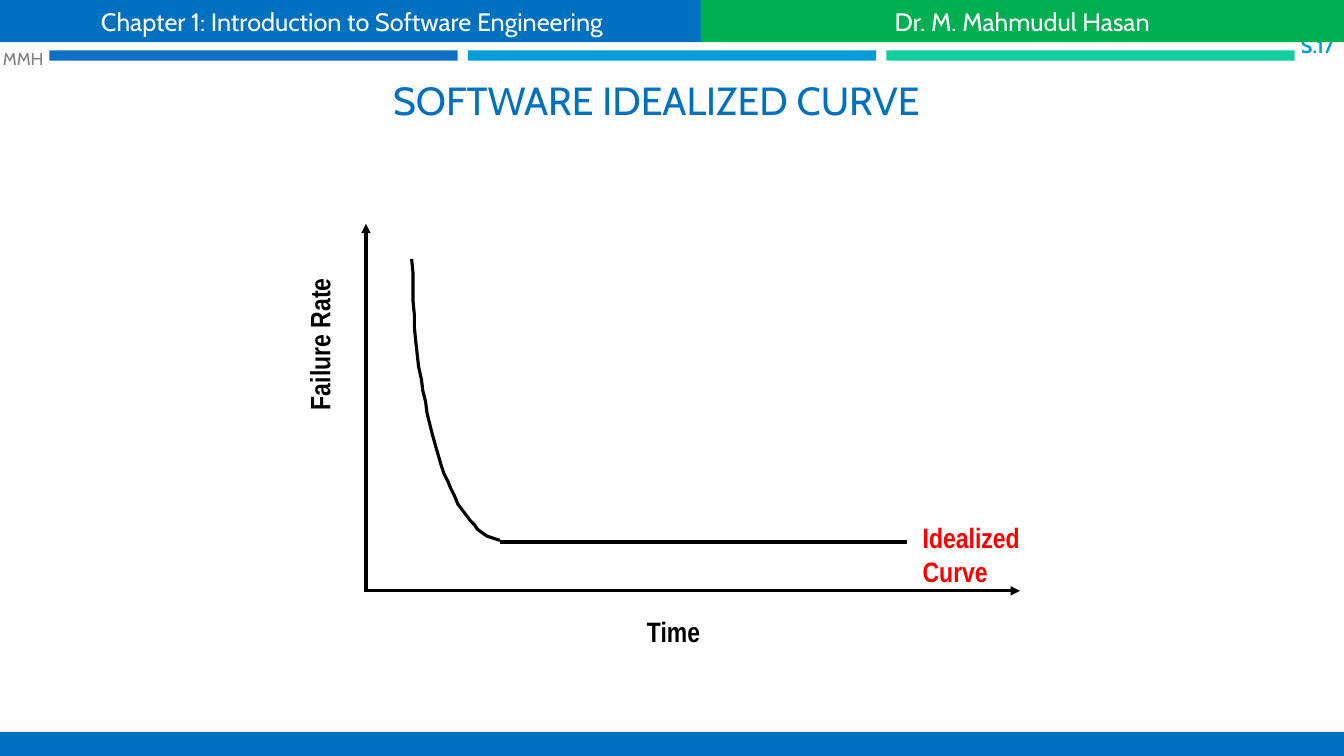
import pptx
import pptx.util
import pptx.dml.color
import pptx.enum.shapes
import pptx.enum.text
import pptx.oxml.ns
import lxml.etree

Pt = pptx.util.Pt
ALIGN = pptx.enum.text.PP_ALIGN
ANCHOR = pptx.enum.text.MSO_ANCHOR

COLOURS = {
    "blue": "0070C0", "green": "00B050", "deep": "0F6FC6", "sky": "009DD9",
    "mint": "10CF9B", "black": "000000", "red": "FF0000", "grey": "808080",
    "white": "FFFFFF",
}


class SlideBuilder:
    heading_font = "Cabin"
    label_font = "Arial Narrow"
    line_width = 2.25

    def __init__(self, slide):
        self.slide = slide

    def colour(self, name):
        return pptx.dml.color.RGBColor.from_string(COLOURS[name])

    def set_text(self, shape, text, size, colour, font, bold=False,
                 align=ALIGN.LEFT, anchor=ANCHOR.TOP, wrap=True):
        frame = shape.text_frame
        frame.text = text
        frame.word_wrap = wrap
        frame.vertical_anchor = anchor
        paragraph = frame.paragraphs[0]
        paragraph.alignment = align
        paragraph.font.name = font
        paragraph.font.size = Pt(size)
        paragraph.font.bold = bold
        paragraph.font.color.rgb = self.colour(colour)

    def title(self, text, left, top, width, height):
        title = self.slide.shapes.title
        title.left, title.top = Pt(left), Pt(top)
        title.width, title.height = Pt(width), Pt(height)
        self.set_text(title, text, 28, "blue", self.heading_font,
                      align=ALIGN.CENTER, anchor=ANCHOR.BOTTOM)

    def bar(self, left, top, width, height, fill, text=None):
        bar = self.slide.shapes.add_shape(
            pptx.enum.shapes.MSO_SHAPE.RECTANGLE,
            Pt(left), Pt(top), Pt(width), Pt(height))
        bar.shadow.inherit = False
        bar.fill.solid()
        bar.fill.fore_color.rgb = self.colour(fill)
        bar.line.fill.background()
        if text:
            self.set_text(bar, text, 18, "white", self.heading_font,
                          align=ALIGN.CENTER, anchor=ANCHOR.MIDDLE)

    def text(self, text, left, top, width, height, size, colour, font,
             rotation=0, margin=7.2, **style):
        box = self.slide.shapes.add_textbox(
            Pt(left), Pt(top), Pt(width), Pt(height))
        box.rotation = rotation
        box.text_frame.margin_left = box.text_frame.margin_right = Pt(margin)
        self.set_text(box, text, size, colour, font, **style)

    def label(self, text, left, top, width, height, colour="black", **style):
        self.text(text, left, top, width, height, 20, colour,
                  self.label_font, bold=True, **style)

    def line(self, start, end, arrow=False):
        line = self.slide.shapes.add_connector(
            pptx.enum.shapes.MSO_CONNECTOR.STRAIGHT,
            *(Pt(value) for value in start + end))
        line.line.width = Pt(self.line_width)
        line.line.color.rgb = self.colour("black")
        properties = line._element.spPr
        if arrow:
            lxml.etree.SubElement(properties.find(pptx.oxml.ns.qn("a:ln")),
                                  pptx.oxml.ns.qn("a:tailEnd"), type="triangle")
        lxml.etree.SubElement(properties, pptx.oxml.ns.qn("a:effectLst"))

    def curve(self, controls, steps=32):
        """Draw a cubic Bezier curve through its four control points."""
        points = []
        for step in range(steps + 1):
            t = step / steps
            weights = ((1 - t) ** 3, 3 * t * (1 - t) ** 2,
                       3 * t ** 2 * (1 - t), t ** 3)
            points.append(tuple(
                sum(w * point[axis] for w, point in zip(weights, controls))
                for axis in (0, 1)))
        outline = self.slide.shapes.build_freeform(*points[0], scale=Pt(1))
        outline.add_line_segments(points[1:], close=False)
        curve = outline.convert_to_shape()
        curve.shadow.inherit = False
        curve.fill.background()
        curve.line.width = Pt(self.line_width)
        curve.line.color.rgb = self.colour("black")


def main():
    deck = pptx.Presentation()
    deck.slide_width, deck.slide_height = Pt(960), Pt(540)
    page = SlideBuilder(deck.slides.add_slide(deck.slide_layouts[5]))

    # Title and the three stripes above it
    page.title("SOFTWARE IDEALIZED CURVE", 34.5, 41, 868.5, 50.4)
    for index, fill in enumerate(("deep", "sky", "mint")):
        page.bar(35.3 + index * 298.9, 36, 291.6, 7.4, fill)

    # Axes
    origin_x, origin_y = 261.4, 422
    page.line((origin_x, origin_y + 1.1), (origin_x, 159.8), arrow=True)
    page.line((origin_x, origin_y), (728.6, origin_y), arrow=True)
    page.label("Failure Rate", 173.2, 230.4, 109.4, 31, rotation=270,
               align=ALIGN.CENTER, wrap=False)
    page.label("Time", 455, 435.6, 52.6, 26, wrap=False)

    # Failure curve: steep fall, then a flat run
    page.curve([(357.1, 385.9), (322.6, 382.3), (294.5, 293.8), (294.5, 185)])
    page.line((357.1, 387.2), (648, 387.2))
    page.label("Idealized Curve", 652, 368.6, 100, 56, colour="red")

    # Author initials and slide number
    page.text("MMH", 0, 31, 36, 21.6, 12.3, "grey", page.heading_font,
              margin=2, anchor=ANCHOR.MIDDLE, wrap=False)
    page.text("S.17", 910, 22, 50, 21, 14, "sky", page.heading_font,
              bold=True, align=ALIGN.RIGHT, anchor=ANCHOR.MIDDLE, wrap=False)

    # Footer and header banners
    page.bar(0, 522.7, 960, 17.3, "blue")
    page.bar(0, 0, 502.6, 30.2, "blue",
             "Chapter 1: Introduction to Software Engineering")
    page.bar(500.4, 0, 459.6, 30.2, "green", "Dr. M. Mahmudul Hasan")

    deck.save("out.pptx")


if __name__ == "__main__":
    main()
